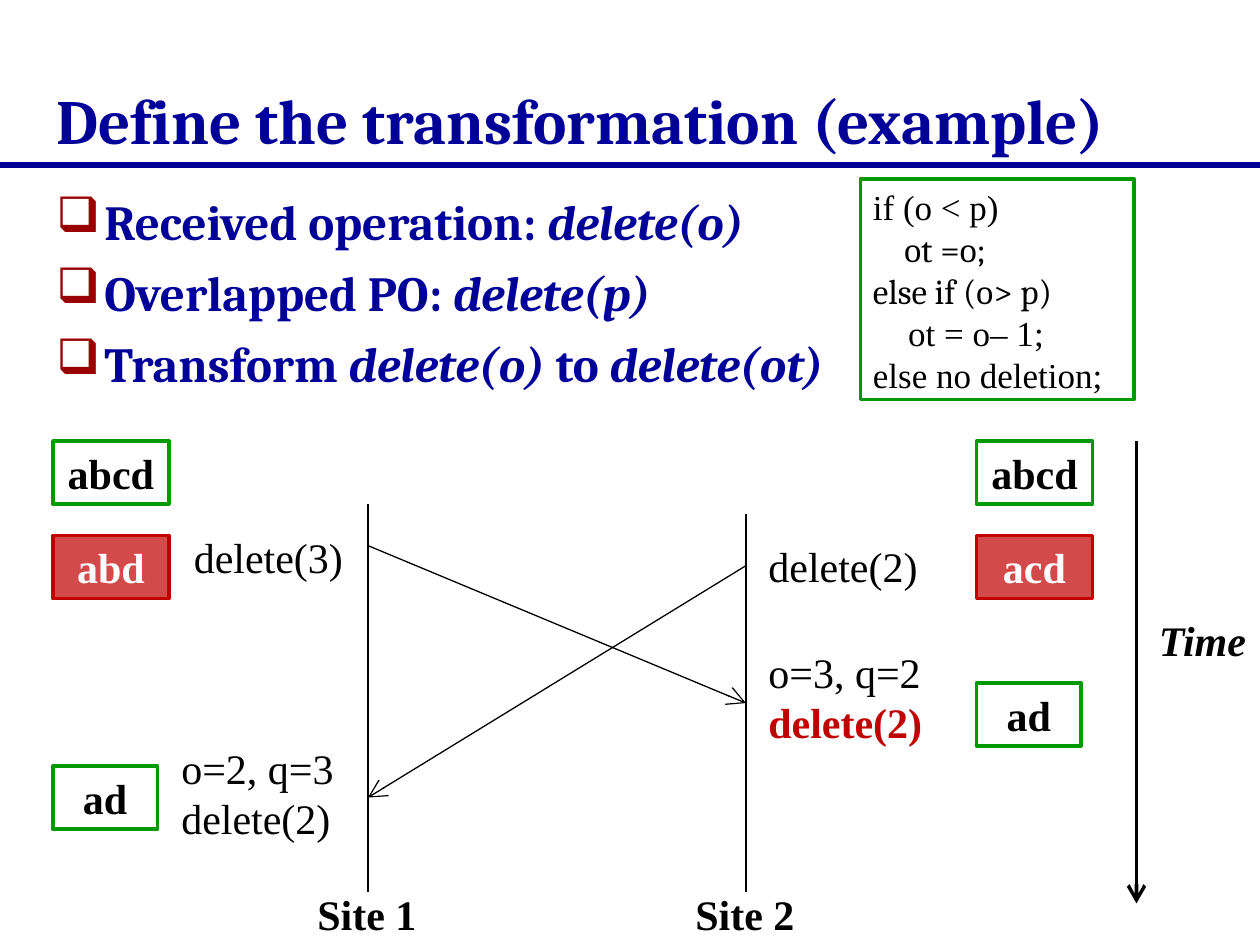
from dataclasses import dataclass

from lxml import etree
from pptx import Presentation
from pptx.dml.color import RGBColor
from pptx.enum.shapes import MSO_CONNECTOR, MSO_SHAPE
from pptx.enum.text import MSO_ANCHOR, PP_ALIGN
from pptx.oxml.ns import qn
from pptx.util import Inches, Pt

STRAIGHT = MSO_CONNECTOR.STRAIGHT
RECT = MSO_SHAPE.RECTANGLE
LEFT, CENTER = PP_ALIGN.LEFT, PP_ALIGN.CENTER
TOP, MIDDLE, BOTTOM = MSO_ANCHOR.TOP, MSO_ANCHOR.MIDDLE, MSO_ANCHOR.BOTTOM


@dataclass(frozen=True)
class Theme:
    navy: str = "000099"
    maroon: str = "990000"
    green: str = "009900"
    red: str = "C00000"
    black: str = "000000"
    white: str = "FFFFFF"
    heading_font: str = "Cambria"
    text_font: str = "Times New Roman"
    title_size: int = 36
    bullet_size: int = 28
    label_size: int = 24
    code_size: int = 20


theme = Theme()


def style(p, size, color, font=theme.text_font, bold=False, italic=False):
    for r in p.runs:
        r.font.name = font
        r.font.size = Pt(size)
        r.font.bold = bold
        r.font.italic = italic
        r.font.color.rgb = RGBColor.from_string(color)


def add_line(x1, y1, x2, y2, color, width, arrow=False):
    line = s.shapes.add_connector(STRAIGHT, Inches(x1), Inches(y1), Inches(x2), Inches(y2))
    line.line.color.rgb = RGBColor.from_string(color)
    line.line.width = Pt(width)
    if arrow:
        ln = line.line._get_or_add_ln()
        etree.SubElement(ln, qn("a:tailEnd"), type="arrow", w="lg", len="lg")
    etree.SubElement(line._element.spPr, qn("a:effectLst"))


prs = Presentation()
prs.slide_width, prs.slide_height = Inches(10), Inches(7.5)
s = prs.slides.add_slide(prs.slide_layouts[5])

add_line(0, 1.31, 10, 1.31, theme.navy, 3)

title = s.shapes.title
title.left, title.top = Inches(0.35), Inches(0.6)
title.width, title.height = Inches(9.21), Inches(0.7)
tf = title.text_frame
tf.text = "Define the transformation (example)"
tf.vertical_anchor = BOTTOM
tf.paragraphs[0].alignment = LEFT
style(tf.paragraphs[0], theme.title_size, theme.navy, theme.heading_font, bold=True)

bullets = [
    [("Received operation: ", False), ("delete(o)", True)],
    [("Overlapped PO: ", False), ("delete(p)", True)],
    [("Transform ", False), ("delete(o) ", True), ("to ", False), ("delete(ot)", True)],
]
tf = s.shapes.add_textbox(Inches(0.35), Inches(1.47), Inches(9.23), Inches(5.03)).text_frame
tf.word_wrap = True
for i, parts in enumerate(bullets):
    p = tf.add_paragraph() if i else tf.paragraphs[0]
    p.space_before = Pt(7)
    for text, _ in parts:
        p.add_run().text = text
    style(p, theme.bullet_size, theme.navy, theme.heading_font, bold=True)
    for r, (_, italic) in zip(p.runs, parts):
        r.font.italic = italic
    pPr = p._p.get_or_add_pPr()
    pPr.set("marL", str(Inches(0.38)))
    pPr.set("indent", str(-Inches(0.38)))
    color = etree.SubElement(pPr, qn("a:buClr"))
    etree.SubElement(color, qn("a:srgbClr"), val=theme.maroon)
    etree.SubElement(pPr, qn("a:buChar"), char="❑")

code = [
    ("if (o < p)", theme.text_font, 0),
    ("ot =o;", theme.heading_font, 0.25),
    ("else if (o> p)", theme.heading_font, 0),
    ("ot = o– 1;", theme.text_font, 0.28),
    ("else no deletion;", theme.text_font, 0),
]
sp = s.shapes.add_shape(RECT, Inches(6.83), Inches(1.42), Inches(2.17), Inches(1.75))
sp.shadow.inherit = False
sp.fill.solid()
sp.fill.fore_color.rgb = RGBColor.from_string(theme.white)
sp.line.color.rgb = RGBColor.from_string(theme.green)
sp.line.width = Pt(2)
tf = sp.text_frame
tf.vertical_anchor = TOP
tf.text = "\n".join(text for text, _, _ in code)
for p, (_, font, indent) in zip(tf.paragraphs, code):
    p.alignment = LEFT
    p._p.get_or_add_pPr().set("marL", str(Inches(indent)))
    style(p, theme.code_size, theme.black, font)

site1_x, site2_x = 2.92, 5.92
add_line(site1_x, 4, site1_x, 7.08, theme.black, 0.75)
add_line(site2_x, 4.08, site2_x, 7.08, theme.black, 0.75)
add_line(site1_x, 4.33, site2_x, 5.58, theme.black, 0.75, arrow=True)
add_line(site2_x, 4.49, site1_x, 6.33, theme.black, 0.75, arrow=True)
add_line(9.02, 3.5, 9.02, 7.17, theme.black, 2, arrow=True)

initial = (theme.white, theme.green, theme.black)
edited = (theme.red, theme.red, theme.white)
states = [
    ("abcd", 0.42, 3.5, 0.92, initial),
    ("abcd", 7.75, 3.5, 0.92, initial),
    ("abd", 0.42, 4.25, 0.92, edited),
    ("acd", 7.75, 4.25, 0.92, edited),
    ("ad", 0.42, 6.08, 0.83, initial),
    ("ad", 7.75, 5.42, 0.83, initial),
]
for text, x, y, w, (fill, border, color) in states:
    sp = s.shapes.add_shape(RECT, Inches(x), Inches(y), Inches(w), Inches(0.5))
    sp.shadow.inherit = False
    sp.fill.solid()
    sp.fill.fore_color.rgb = RGBColor.from_string(fill)
    if fill == theme.red:
        rgb = sp._element.spPr.find(qn("a:solidFill")).find(qn("a:srgbClr"))
        etree.SubElement(rgb, qn("a:alpha"), val="71000")
    sp.line.color.rgb = RGBColor.from_string(border)
    sp.line.width = Pt(2)
    tf = sp.text_frame
    tf.text = text
    tf.vertical_anchor = MIDDLE
    tf.word_wrap = False
    tf.paragraphs[0].alignment = CENTER
    style(tf.paragraphs[0], theme.label_size, color, bold=True)

plain = (theme.black, False, False)
strong = (theme.black, True, False)
result = (theme.red, True, False)
labels = [
    (1.44, 4.17, 1.45, 0.5, [("delete(3)", plain)]),
    (6, 4.24, 1.45, 0.5, [("delete(2)", plain)]),
    (2.42, 7, 1, 0.5, [("Site 1", strong)]),
    (5.42, 7, 1, 0.5, [("Site 2", strong)]),
    (6, 5.08, 1.45, 0.9, [("o=3, q=2", plain), ("delete(2)", result)]),
    (1.34, 5.84, 1.45, 0.9, [("o=2, q=3", plain), ("delete(2)", plain)]),
    (9.1, 4.83, 0.9, 0.5, [("Time", (theme.black, True, True))]),
]
for x, y, w, h, lines in labels:
    tf = s.shapes.add_textbox(Inches(x), Inches(y), Inches(w), Inches(h)).text_frame
    tf.word_wrap = True
    tf.text = "\n".join(text for text, _ in lines)
    for p, (_, (color, bold, italic)) in zip(tf.paragraphs, lines):
        p.alignment = LEFT
        style(p, theme.label_size, color, bold=bold, italic=italic)

prs.save("out.pptx")
